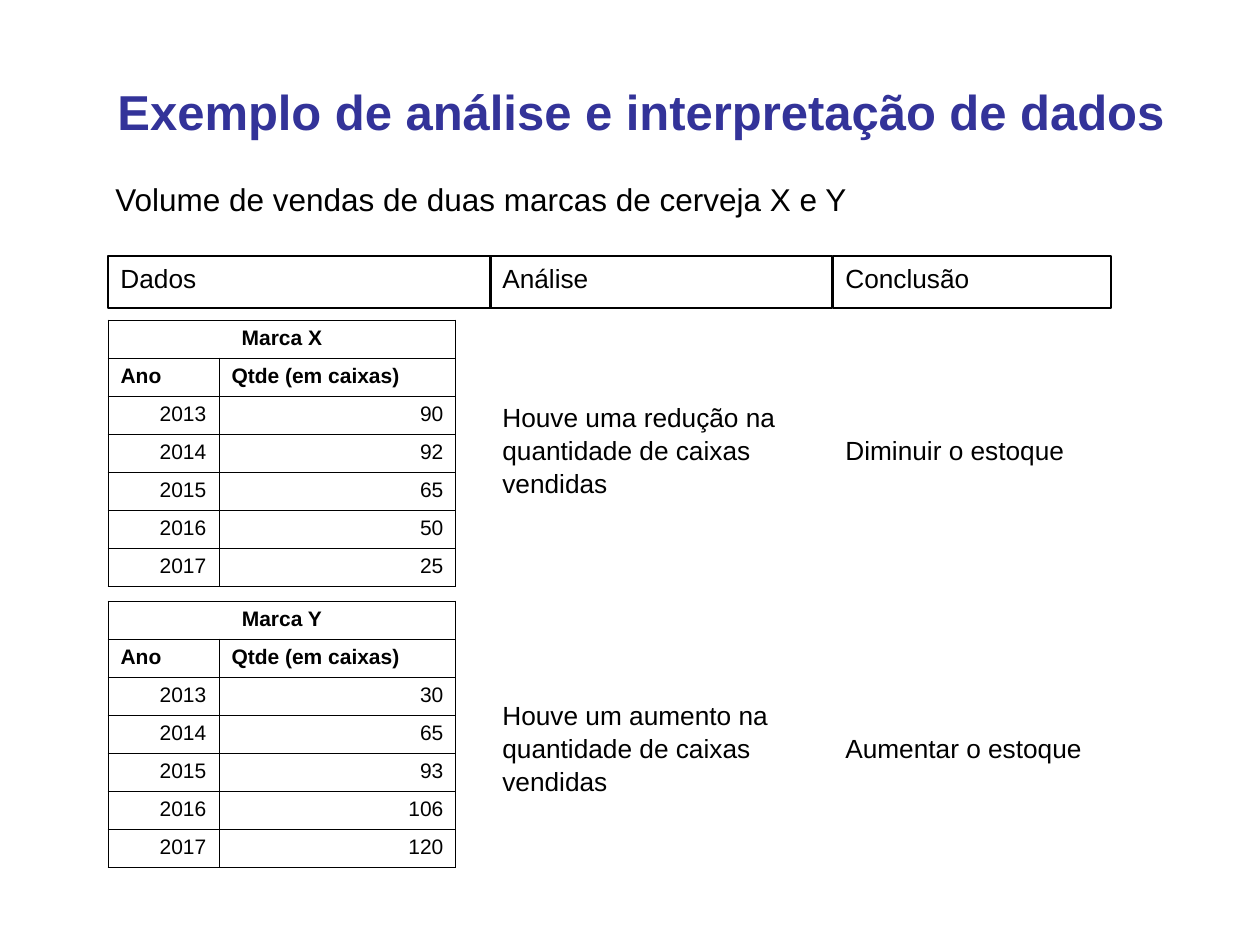
from lxml import etree
from pptx import Presentation
from pptx.dml.color import RGBColor
from pptx.enum.shapes import MSO_SHAPE
from pptx.enum.text import MSO_ANCHOR, PP_ALIGN
from pptx.oxml.ns import qn
from pptx.util import Pt

RECT = MSO_SHAPE.RECTANGLE
TOP, MIDDLE = MSO_ANCHOR.TOP, MSO_ANCHOR.MIDDLE
LEFT, CENTER, RIGHT = PP_ALIGN.LEFT, PP_ALIGN.CENTER, PP_ALIGN.RIGHT
BLACK = RGBColor(0x00, 0x00, 0x00)
INDIGO = RGBColor(0x33, 0x33, 0x99)
FONT = "Arial"
PX = 914400 / 126

# Content
TITLE = "Exemplo de análise e interpretação de dados"
SUBTITLE = "Volume de vendas de duas marcas de cerveja X e Y"
COLUMNS = [("Dados", 108, 383), ("Análise", 490, 342), ("Conclusão", 833, 278)]
TABLE_HEAD = ("Ano", "Qtde (em caixas)")
YEARS = range(2013, 2018)
BRANDS = [
    {"name": "Marca X", "top": 320, "boxes": [90, 92, 65, 50, 25],
     "analysis": ("Houve uma redução na quantidade de caixas vendidas", 394),
     "conclusion": ("Diminuir o estoque", 427)},
    {"name": "Marca Y", "top": 601, "boxes": [30, 65, 93, 106, 120],
     "analysis": ("Houve um aumento na quantidade de caixas vendidas", 692),
     "conclusion": ("Aumentar o estoque", 725)},
]
TABLE_COLS = (111, 237)
ROW_H = 38


def px(*lengths):
    return [round(length * PX) for length in lengths]


def write(frame, text, size, color=BLACK, bold=False, align=LEFT, spacing=None):
    paragraph = frame.paragraphs[0]
    paragraph.alignment = align
    paragraph.line_spacing = spacing
    run = paragraph.add_run()
    run.text = text
    run.font.name = FONT
    run.font.size = Pt(size)
    run.font.bold = bold
    run.font.color.rgb = color


def add_text(slide, text, box, size, anchor=TOP, **style):
    frame = slide.shapes.add_textbox(*px(*box)).text_frame
    frame.word_wrap = True
    frame.vertical_anchor = anchor
    write(frame, text, size, **style)


def add_header(slide, text, box):
    header = slide.shapes.add_shape(RECT, *px(*box))
    header.shadow.inherit = False
    header.fill.background()
    header.line.color.rgb = BLACK
    header.line.width = 0
    header.text_frame.word_wrap = True
    header.text_frame.vertical_anchor = TOP
    write(header.text_frame, text, 15)


def set_borders(cell):
    props = cell._tc.get_or_add_tcPr()
    for index, side in enumerate(("a:lnL", "a:lnR", "a:lnT", "a:lnB")):
        border = etree.Element(qn(side), w=str(Pt(0.57)))
        fill = etree.SubElement(border, qn("a:solidFill"))
        etree.SubElement(fill, qn("a:srgbClr"), val=str(BLACK))
        props.insert(index, border)


def add_brand_table(slide, brand):
    rows = [(brand["name"], ""), TABLE_HEAD, *zip(YEARS, brand["boxes"])]
    box = px(COLUMNS[0][1], brand["top"], sum(TABLE_COLS), ROW_H * len(rows))
    table = slide.shapes.add_table(len(rows), len(TABLE_COLS), *box).table
    table.first_row = table.horz_banding = False
    for column, width in zip(table.columns, px(*TABLE_COLS)):
        column.width = width
    for r, values in enumerate(rows):
        table.rows[r].height = px(ROW_H)[0]
        align = (CENTER, LEFT)[r] if r < 2 else RIGHT
        for c, value in enumerate(values):
            cell = table.cell(r, c)
            cell.fill.background()
            set_borders(cell)
            if value != "":
                write(cell.text_frame, str(value), 12, bold=r < 2, align=align)
    table.cell(0, 0).merge(table.cell(0, 1))


def main():
    prs = Presentation()
    prs.slide_width, prs.slide_height = px(1260, 945)
    slide = prs.slides.add_slide(prs.slide_layouts[6])

    # Title and subtitle
    add_text(slide, TITLE, (105, 71, 1080, 79), 28, MIDDLE, color=INDIGO, bold=True)
    add_text(slide, SUBTITLE, (103, 172, 1043, 97), 18, spacing=1.04)

    # Column headers
    for heading, left, width in COLUMNS:
        add_header(slide, heading, (left, 256, width, 52))

    # One table, analysis and conclusion per brand
    for brand in BRANDS:
        add_brand_table(slide, brand)
        for part, height, column in (("analysis", 107, COLUMNS[1]),
                                     ("conclusion", 66, COLUMNS[2])):
            text, top = brand[part]
            add_text(slide, text, (column[1], top, column[2], height), 15, spacing=1.04)

    prs.save("out.pptx")


if __name__ == "__main__":
    main()
